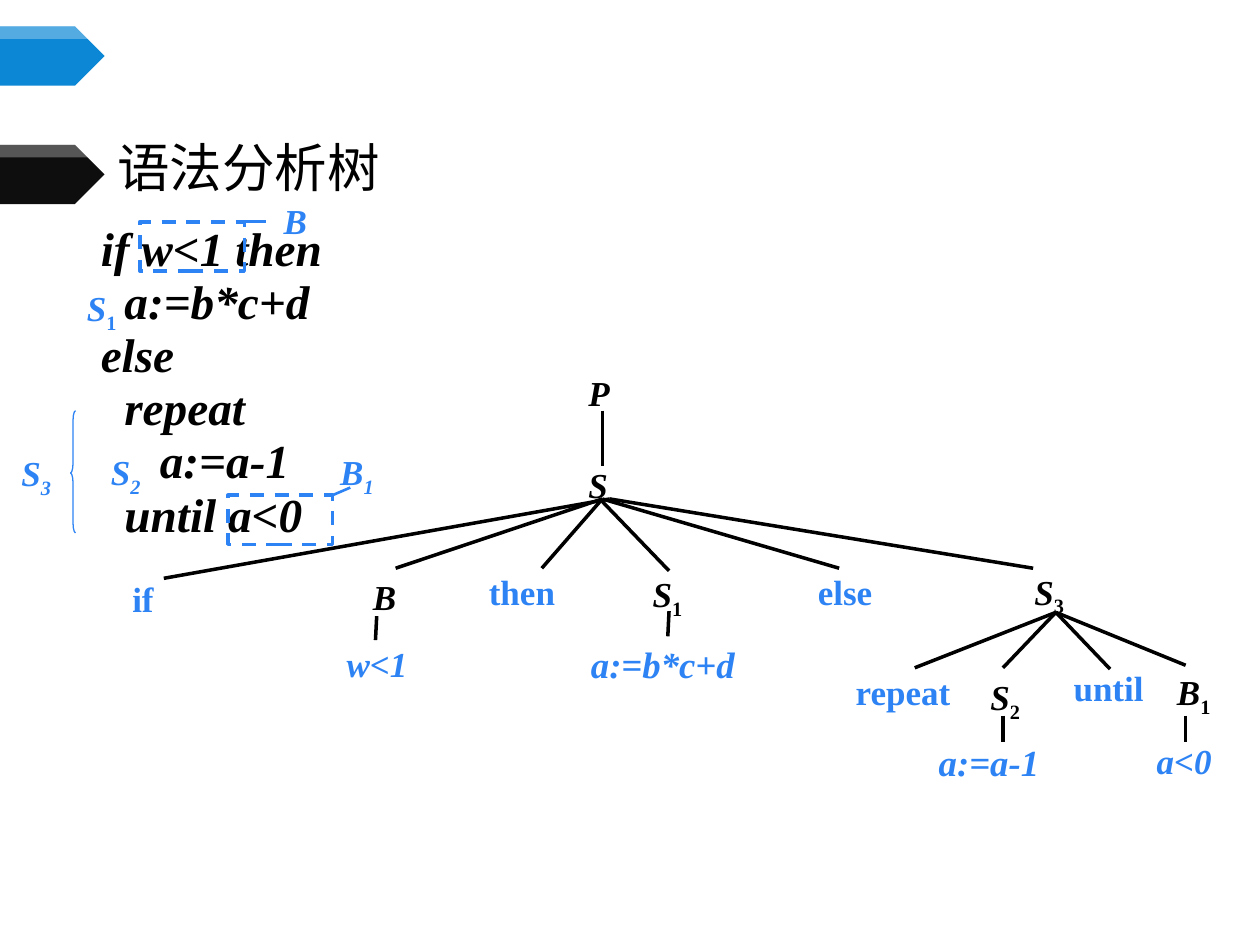
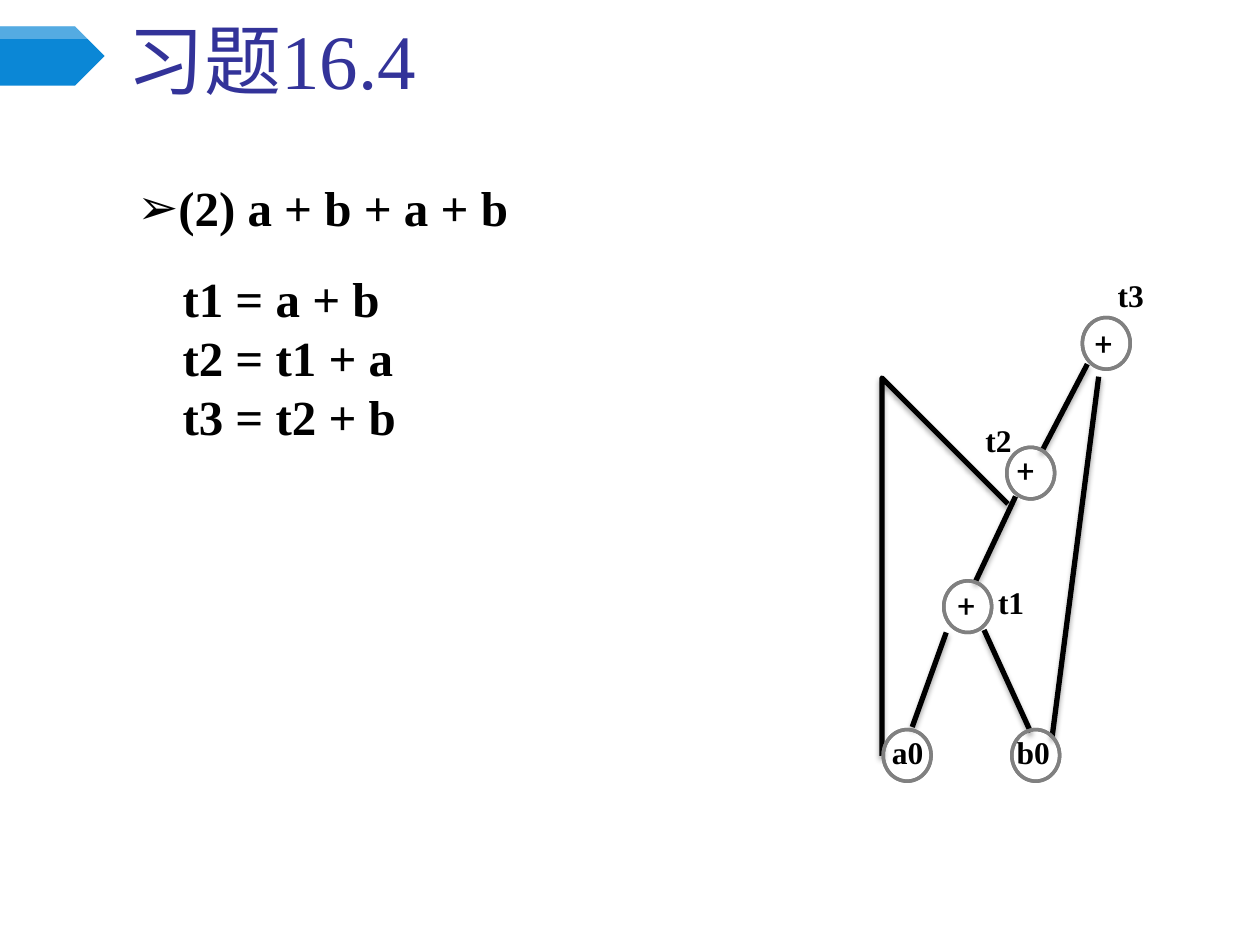
"""Build two slides: a syntax tree of an if statement and a DAG exercise."""
import lxml.etree
import pptx
import pptx.dml.color
import pptx.enum.dml
import pptx.enum.shapes
import pptx.enum.text
import pptx.oxml
import pptx.oxml.ns
import pptx.util

Inches = pptx.util.Inches
Pt = pptx.util.Pt
RGB = pptx.dml.color.RGBColor.from_string
Shape = pptx.enum.shapes.MSO_SHAPE
Align = pptx.enum.text.PP_ALIGN
qn = pptx.oxml.ns.qn

COLORS = {"ink": "000000", "accent": "2D83F4", "band": "0B87D6", "dark band": "0E0E0E",
          "gloss": "FFFFFF", "title": "333399", "ring": "808080"}
SERIF, SANS, CJK = "Times New Roman", "Roboto", "Noto Sans CJK SC"
LABEL_INSETS = (0.07, 0.01, 0.07, 0.01)
SUB = {"sub": True, "italic": False}
SLANTED_SUB = {"sub": True}


def write(holder, paragraphs, size=20, color="ink", font=SERIF, bold=True, italic=False,
          align=Align.LEFT, spacing=None, before=0, insets=(0.1, 0.05, 0.1, 0.05),
          anchor=pptx.enum.text.MSO_ANCHOR.TOP, bullet=None):
    """Fill a text frame; a paragraph is a string or a list of (text, changes)."""
    frame = holder.text_frame
    frame.word_wrap = True
    frame.auto_size = pptx.enum.text.MSO_AUTO_SIZE.NONE
    frame.vertical_anchor = anchor
    frame.margin_left, frame.margin_top, frame.margin_right, frame.margin_bottom = map(Inches, insets)
    for index, content in enumerate(paragraphs):
        paragraph = frame.add_paragraph() if index else frame.paragraphs[0]
        paragraph.alignment = align
        paragraph.space_before = Pt(before if index else 0)
        if spacing:
            paragraph.line_spacing = spacing
        if bullet:
            paragraph.level = 1
            properties = paragraph._p.get_or_add_pPr()
            properties.set("marL", str(Inches(0.74)))
            properties.set("indent", str(Inches(-0.3)))
            lxml.etree.SubElement(properties, qn("a:buChar")).set("char", bullet)
        for text, changes in [(content, {})] if isinstance(content, str) else content:
            run = paragraph.add_run()
            run.text = text
            run.font.size = Pt(size)
            run.font.name = font
            run.font.bold = bold
            run.font.italic = changes.get("italic", italic)
            run.font.color.rgb = RGB(COLORS[color])
            run_properties = run._r.get_or_add_rPr()
            lxml.etree.SubElement(run_properties, qn("a:ea")).set("typeface", CJK)
            if changes.get("sub"):
                run_properties.set("baseline", "-25000")


def stroke(outline, color, width, dash=None, shadow=False):
    """Give a shape or connector its line and, if asked, a soft shadow."""
    outline.line.color.rgb = RGB(COLORS[color])
    outline.line.width = Pt(width)
    outline.line.dash_style = dash
    effects = lxml.etree.SubElement(outline._element.spPr, qn("a:effectLst"))
    if shadow:
        cast = lxml.etree.SubElement(effects, qn("a:outerShdw"), blurRad=str(Pt(3.1)),
                                     dist=str(Pt(1.8)), dir="5400000", rotWithShape="0")
        black = lxml.etree.SubElement(cast, qn("a:srgbClr"), val=COLORS["ink"])
        lxml.etree.SubElement(black, qn("a:alpha"), val="35000")


deck = pptx.Presentation()
deck.slide_width, deck.slide_height = Inches(10), Inches(7.5)
tree_slide = deck.slides.add_slide(deck.slide_layouts[5])
dag_slide = deck.slides.add_slide(deck.slide_layouts[1])

for slide, top, band_color in [(tree_slide, 0.21, "band"), (tree_slide, 1.15, "dark band"),
                               (dag_slide, 0.21, "band")]:
    for height, color in [(0.47, band_color), (0.1, "gloss")]:
        band = slide.shapes.add_shape(Shape.PENTAGON, 0, Inches(top), Inches(0.83), Inches(height))
        band.shadow.inherit = False
        band.line.fill.background()
        band.fill.solid()
        band.fill.fore_color.rgb = RGB(COLORS[color])
        if color == "gloss":
            tint = band._element.spPr.find(".//" + qn("a:srgbClr"))
            lxml.etree.SubElement(tint, qn("a:alpha"), val="30000")

for slide, heading, at, size, color, font in [
        (tree_slide, "语法分析树", (0.83, 1.23, 8.67, 0.39), 30, "ink", CJK),
        (dag_slide, "习题16.4", (0.91, 0.18, 8.88, 0.7), 44, "title", SERIF)]:
    title = slide.shapes.title
    title.left, title.top, title.width, title.height = map(Inches, at)
    write(title, [heading], size=size, color=color, font=font, bold=False,
          anchor=pptx.enum.text.MSO_ANCHOR.BOTTOM)

code = tree_slide.shapes.add_textbox(*map(Inches, (0.72, 1.8, 3.33, 2.43)))
write(code, ["if w<1 then", "  a:=b*c+d", "else", "  repeat", "     a:=a-1", "  until a<0"],
      size=27, italic=True, spacing=Pt(25), before=5.4, insets=(0.08, 0.04, 0.08, 0.04))

branches = {
    (4.78, 3.26): [(4.78, 3.7)],
    (4.78, 3.96): [(6.66, 4.51), (4.3, 4.51), (3.14, 4.51)],
    (4.84, 3.96): [(1.3, 4.59), (8.2, 4.51)],
    (4.78, 3.98): [(5.31, 4.53)],
    (8.38, 4.86): [(7.26, 5.3), (7.96, 5.3), (8.81, 5.31), (9.41, 5.28)],
    (2.99, 4.89): [(2.98, 5.08)],
    (5.31, 4.85): [(5.3, 5.05)],
    (7.96, 5.68): [(7.96, 5.89)],
    (9.41, 5.68): [(9.41, 5.89)],
}
tree_lines = [(parent, child, "ink", 2) for parent, children in branches.items() for child in children]
callouts = [((1.94, 1.76), (2.11, 1.76), "accent", 1.5), ((2.64, 3.93), (2.78, 3.87), "accent", 1.5)]
for start, end, color, width in tree_lines + callouts:
    branch = tree_slide.shapes.add_connector(pptx.enum.shapes.MSO_CONNECTOR.STRAIGHT,
                                             *map(Inches, start + end))
    stroke(branch, color, width)

for left, top, width, keyword in [(0.98, 4.57, 0.46, "if"), (3.81, 4.52, 0.74, "then"),
                                  (6.42, 4.52, 0.59, "else"), (6.72, 5.31, 1.12, "repeat"),
                                  (8.45, 5.28, 0.71, "until")]:
    label = tree_slide.shapes.add_textbox(*map(Inches, (left, top, width, 0.28)))
    write(label, [keyword], color="accent", align=Align.JUSTIFY, insets=LABEL_INSETS)

for left, top, width, size, leaf in [
        (2.68, 5.09, 0.65, 20, [("w", {}), ("<", {"italic": False}), ("1", {})]),
        (4.62, 5.08, 1.44, 21, "a:=b*c+d"), (7.38, 5.86, 1.05, 21, "a:=a-1"),
        (9.11, 5.86, 0.89, 20, "a<0")]:
    label = tree_slide.shapes.add_textbox(*map(Inches, (left, top, width, 0.27)))
    write(label, [leaf], size=size, color="accent", italic=True, align=Align.JUSTIFY,
          insets=LABEL_INSETS)

for left, top, symbol, index, index_style, color, spacing in [
        (4.6, 3, "P", "", SUB, "ink", 0.8), (4.6, 3.73, "S", "", SUB, "ink", 0.8),
        (2.89, 4.62, "B", "", SUB, "ink", 0.8), (5.11, 4.57, "S", "1", SUB, "ink", 0.8),
        (8.14, 4.55, "S", "3", SUB, "ink", 0.8), (7.79, 5.39, "S", "2", SUB, "ink", 0.8),
        (9.27, 5.31, "B", "1", SUB, "ink", 1.0), (0.62, 2.3, "S", "1", SUB, "accent", 0.8),
        (0.81, 3.6, "S", "2", SLANTED_SUB, "accent", 0.8),
        (0.1, 3.61, "S", "3", SLANTED_SUB, "accent", 0.8),
        (2.18, 1.64, "B", "", SUB, "accent", 0.8),
        (2.63, 3.6, "B", "1", SLANTED_SUB, "accent", 0.8)]:
    label = tree_slide.shapes.add_textbox(*map(Inches, (left, top, 0.48, 0.28)))
    parts = [(symbol, {})] + ([(index, index_style)] if index else [])
    write(label, [parts], color=color, italic=True, align=Align.JUSTIFY, spacing=spacing,
          insets=LABEL_INSETS)

for left, top in [(1.11, 1.76), (1.81, 3.93)]:
    condition = tree_slide.shapes.add_shape(Shape.RECTANGLE, *map(Inches, (left, top, 0.83, 0.39)))
    condition.fill.background()
    stroke(condition, "accent", 2, dash=pptx.enum.dml.MSO_LINE.DASH)

loop_brace = tree_slide.shapes.add_shape(Shape.LEFT_BRACE, *map(Inches, (0.56, 3.26, 0.04, 0.97)))
loop_brace.adjustments[0], loop_brace.adjustments[1] = 1.92, 0.51
loop_brace.fill.background()
stroke(loop_brace, "accent", 0.75)

expression = dag_slide.placeholders[1]
expression.left, expression.top, expression.width, expression.height = map(
    Inches, (0.55, 1.3, 8.88, 0.84))
write(expression, ["(2) a + b + a + b"], size=28, spacing=Pt(38), bullet="➢")

for start, end in [((8.35, 5.85), (8.72, 2.99)), ((8.63, 2.89), (8.27, 3.58)),
                   ((7.51, 5.02), (7.24, 5.77)), ((7.81, 5), (8.18, 5.81)),
                   ((8.06, 3.94), (7.74, 4.62))]:
    edge = dag_slide.shapes.add_connector(pptx.enum.shapes.MSO_CONNECTOR.STRAIGHT,
                                          *map(Inches, start + end))
    stroke(edge, "ink", 3, shadow=True)

STEPS = 16
curve = [(7.12, 5.74)]
for bends in [((7.12, 5.74), (7.04, 4.83), (6.96, 3.91), (7.09, 3.58)),
              ((7.09, 3.58), (7.22, 3.26), (7.55, 3.52), (7.88, 3.79))]:
    for step in range(1, STEPS + 1):
        t = step / STEPS
        weights = ((1 - t) ** 3, 3 * t * (1 - t) ** 2, 3 * t ** 2 * (1 - t), t ** 3)
        curve.append(tuple(sum(w * bend[axis] for w, bend in zip(weights, bends)) for axis in (0, 1)))
builder = dag_slide.shapes.build_freeform(*curve[0], scale=Inches(1))
builder.add_line_segments(curve[1:], close=False)
reuse_edge = builder.convert_to_shape()
reuse_edge.fill.background()
stroke(reuse_edge, "ink", 3, shadow=True)

for left, top, text_left, text_top, operand, font in [
        (8.03, 5.79, 7.97, 5.77, "b0", SERIF), (7.01, 5.79, 6.98, 5.77, "a0", SERIF),
        (7.49, 4.61, 7.5, 4.6, "+", SANS), (8.59, 2.52, 8.59, 2.52, "+", SANS),
        (7.99, 3.55, 7.97, 3.53, "+", SANS)]:
    node_text = dag_slide.shapes.add_textbox(*map(Inches, (text_left, text_top, 0.6, 0.4)))
    write(node_text, [operand], size=18, font=font, bold=font == SERIF)
    node = dag_slide.shapes.add_shape(Shape.DONUT, *map(Inches, (left, top, 0.38, 0.41)))
    node.adjustments[0] = 0
    node.fill.background()
    stroke(node, "ring", 2)

steps = dag_slide.shapes.add_textbox(*map(Inches, (1.35, 2.08, 1.92, 1.51)))
write(steps, ["t1 = a + b", "t2 = t1 + a", "t3 = t2 + b"], size=28, spacing=Pt(33.7))

for left, top, result in [(7.77, 4.58, "t1"), (7.67, 3.29, "t2"), (8.72, 2.14, "t3")]:
    label = dag_slide.shapes.add_textbox(*map(Inches, (left, top, 0.51, 0.41)))
    write(label, [result], size=18, align=Align.CENTER)

deck.save("out.pptx")
